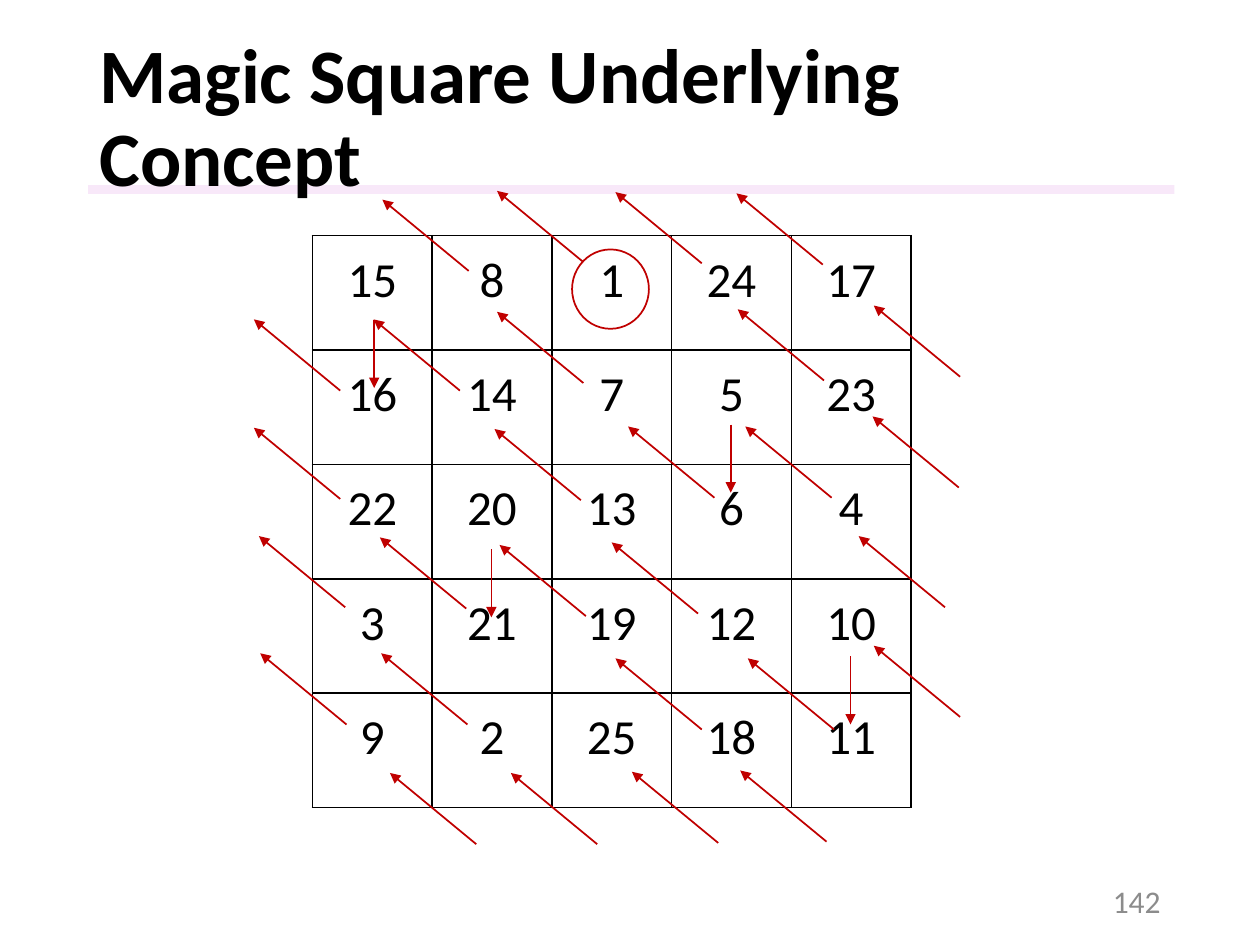
from lxml import etree
from pptx import Presentation
from pptx.dml.color import RGBColor
from pptx.enum.shapes import MSO_CONNECTOR, MSO_SHAPE
from pptx.enum.text import MSO_ANCHOR, PP_ALIGN
from pptx.oxml.ns import qn
from pptx.util import Inches, Pt

STRAIGHT = MSO_CONNECTOR.STRAIGHT
RECTANGLE, OVAL = MSO_SHAPE.RECTANGLE, MSO_SHAPE.OVAL
MIDDLE = MSO_ANCHOR.MIDDLE
LEFT, CENTER, RIGHT = PP_ALIGN.LEFT, PP_ALIGN.CENTER, PP_ALIGN.RIGHT

FONT = "Calibri"
BLACK, GRAY, RED, LILAC = "000000", "8C8C8C", "C00000", "F3D2F4"
SQUARE = [
    [15, 8, 1, 24, 17],
    [16, 14, 7, 5, 23],
    [22, 20, 13, 6, 4],
    [3, 21, 19, 12, 10],
    [9, 2, 25, 18, 11],
]
CELL_W, CELL_H = 0.95, 0.908
DIAGONAL = (-0.685, -0.565)
DOWN = (0, 0.54)
DIAGONAL_STARTS = [
    (3.72, 2.15), (4.63, 2.08), (5.57, 2.09), (6.53, 2.1),
    (2.7, 3.1), (3.65, 3.1), (4.63, 3.04), (6.54, 3.02), (7.62, 2.99),
    (2.7, 3.96), (4.61, 3.97), (5.67, 3.95), (6.6, 3.95), (7.61, 3.87),
    (2.74, 4.82), (3.7, 4.83), (4.65, 4.89), (5.54, 4.87), (7.5, 4.82),
    (2.75, 5.75), (3.71, 5.75), (5.57, 5.79), (6.62, 5.79), (7.62, 5.69),
    (3.78, 6.7), (4.74, 6.7), (5.7, 6.69), (6.56, 6.68),
]
DOWN_STARTS = [(2.97, 2.54), (5.8, 3.37), (3.9, 4.36), (6.75, 5.21)]


def rgb(color):
    return RGBColor.from_string(color)


def set_attrs(obj, values):
    for name, value in values.items():
        setattr(obj, name, value)


def write(tf, text, size, color, bold=False, align=LEFT, spacing=None):
    p = tf.paragraphs[0]
    set_attrs(p, {"alignment": align, "line_spacing": spacing})
    r = p.add_run()
    r.text = text
    set_attrs(r.font, {"name": FONT, "size": Pt(size), "bold": bold})
    r.font.color.rgb = rgb(color)


def add_text(s, box, text, size, color, **style):
    tf = s.shapes.add_textbox(*map(Inches, box)).text_frame
    set_attrs(tf, {"word_wrap": True, "vertical_anchor": MIDDLE})
    write(tf, text, size, color, **style)


def add_bar(s, box, color, alpha):
    sp = s.shapes.add_shape(RECTANGLE, *map(Inches, box))
    sp.shadow.inherit = False
    sp.fill.solid()
    sp.fill.fore_color.rgb = rgb(color)
    sp.line.fill.background()
    clr = sp.fill._xPr.find(".//" + qn("a:srgbClr"))
    etree.SubElement(clr, qn("a:alpha"), val=str(alpha * 1000))


def add_ring(s, box, color):
    sp = s.shapes.add_shape(OVAL, *map(Inches, box))
    sp.shadow.inherit = False
    sp.fill.background()
    sp.line.color.rgb = rgb(color)
    sp.line.width = Pt(1)


def add_borders(cell, color):
    tc_pr = cell._tc.get_or_add_tcPr()
    for side in ("lnL", "lnR", "lnT", "lnB"):
        ln = etree.SubElement(tc_pr, qn("a:" + side), w=str(Pt(1)))
        fill = etree.SubElement(ln, qn("a:solidFill"))
        etree.SubElement(fill, qn("a:srgbClr"), val=color)


def add_square(s, left, top, rows):
    n = len(rows)
    size = (left, top, n * CELL_W, n * CELL_H)
    table = s.shapes.add_table(n, n, *map(Inches, size)).table
    set_attrs(table, {"first_row": False, "horz_banding": False})
    for i, row in enumerate(rows):
        table.rows[i].height = Inches(CELL_H)
        table.columns[i].width = Inches(CELL_W)
        for j, number in enumerate(row):
            cell = table.cell(i, j)
            set_attrs(cell, {
                "margin_left": Inches(0.07), "margin_right": Inches(0.07),
                "margin_top": 0, "margin_bottom": 0,
                "vertical_anchor": MIDDLE,
            })
            add_borders(cell, BLACK)
            cell.fill.background()
            write(cell.text_frame, str(number), 28, BLACK,
                  align=CENTER, spacing=Pt(20))


def add_arrow(s, start, step, color):
    x, y = start
    dx, dy = step
    ends = (x, y, x + dx, y + dy)
    line = s.shapes.add_connector(STRAIGHT, *map(Inches, ends))
    line.line.color.rgb = rgb(color)
    line.line.width = Pt(1)
    etree.SubElement(line.line._get_or_add_ln(), qn("a:tailEnd"), type="triangle")
    etree.SubElement(line._element.spPr, qn("a:effectLst"))


def main():
    prs = Presentation()
    prs.slide_width, prs.slide_height = Inches(10), Inches(7.5)
    s = prs.slides.add_slide(prs.slide_layouts[6])
    add_bar(s, (0.7, 1.47, 8.62, 0.07), LILAC, 50)
    add_text(s, (0.69, 0.4, 8.62, 1.11), "Magic Square Underlying Concept",
             44, BLACK, bold=True, spacing=0.9)
    add_text(s, (7.06, 6.95, 2.25, 0.4), "142", 18, GRAY, align=RIGHT)
    add_square(s, 2.48, 1.87, SQUARE)
    add_ring(s, (4.54, 1.98, 0.61, 0.63), RED)
    for step, starts in ((DIAGONAL, DIAGONAL_STARTS), (DOWN, DOWN_STARTS)):
        for start in starts:
            add_arrow(s, start, step, RED)
    prs.save("out.pptx")


if __name__ == "__main__":
    main()
